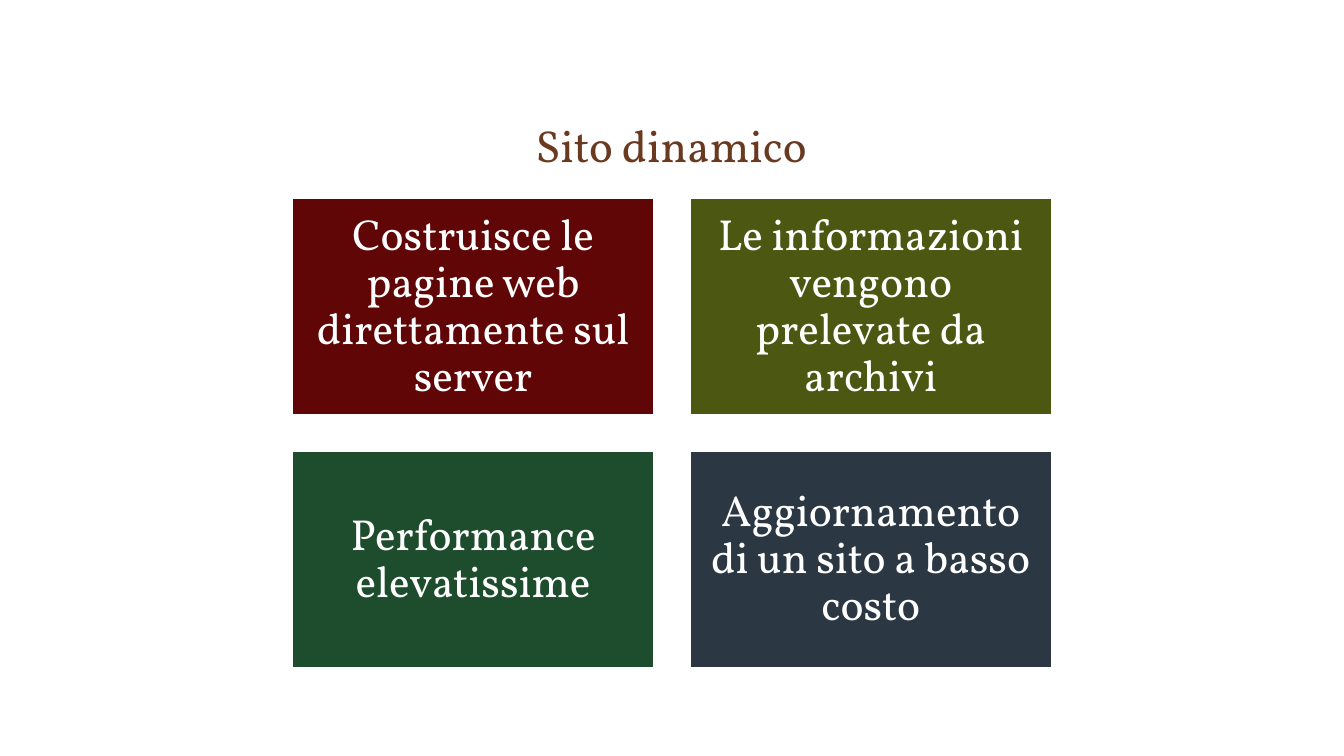
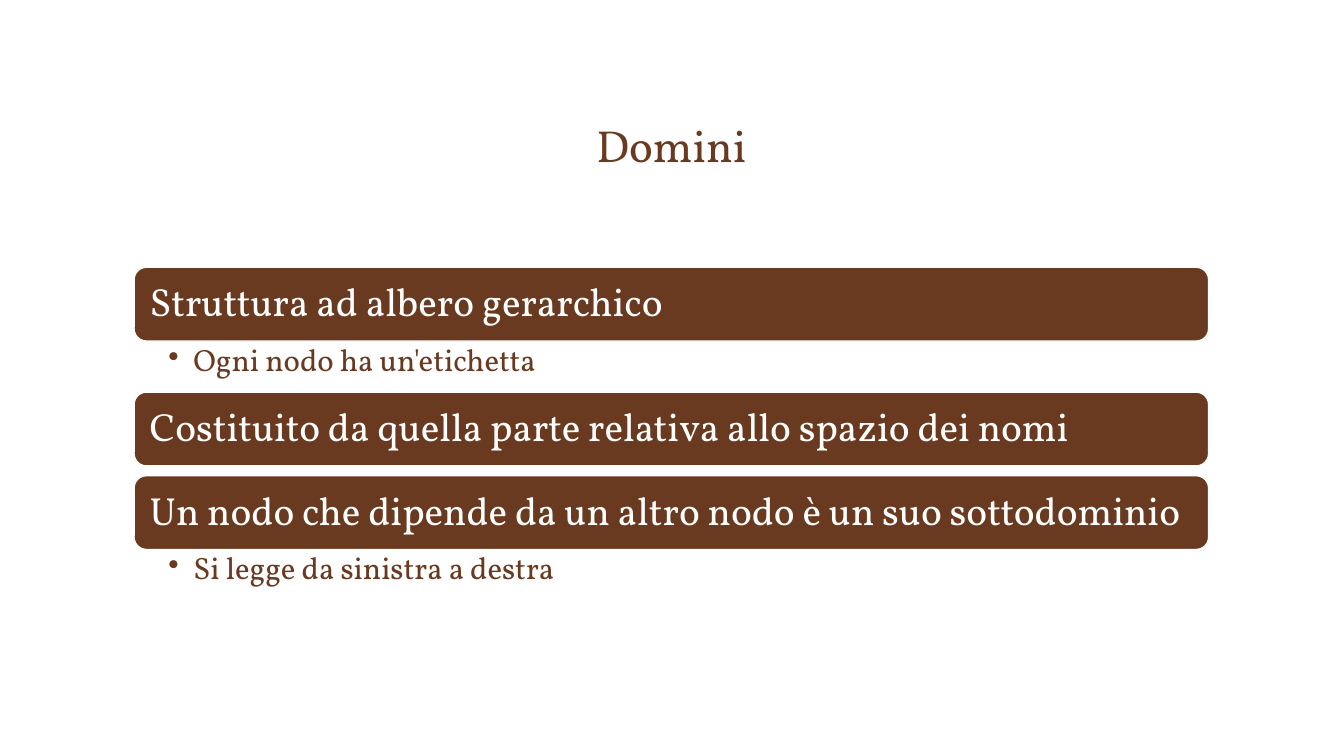
from dataclasses import dataclass

from lxml.etree import SubElement
from pptx import Presentation
from pptx.dml.color import RGBColor
from pptx.enum.shapes import MSO_SHAPE
from pptx.enum.text import MSO_ANCHOR, MSO_AUTO_SIZE, PP_ALIGN
from pptx.oxml.ns import qn
from pptx.util import Pt


@dataclass(frozen=True)
class Theme:
    """Colours, font and type sizes shared by the slides."""
    font: str = "Vollkorn"
    brown: str = "6A3A20"
    white: str = "FFFFFF"
    tile_fills: tuple = ("610606", "4C5712", "1E4D2D", "2B3742")
    title_size: float = 32
    tile_size: float = 31
    bar_size: float = 28
    bullet_size: float = 22
    line_spacing: float = 0.9


@dataclass(frozen=True)
class Box:
    """A rectangle in points."""
    left: float
    top: float
    width: float
    height: float

    def lengths(self):
        """Return the four lengths in the order that python-pptx expects."""
        return [Pt(value) for value in (self.left, self.top, self.width, self.height)]


THEME = Theme()
TITLE_BOX = Box(95.8, 33.8, 767.5, 92.2)
TILES_BOX = Box(208.8, 141.8, 542.2, 335.4)
BARS_BOX = Box(95.8, 190.9, 767.5, 238.1)


def add_text(paragraph, text, size, color, alignment=PP_ALIGN.LEFT):
    """Add one formatted run to a paragraph."""
    paragraph.alignment = alignment
    run = paragraph.add_run()
    run.text = text
    run.font.name = THEME.font
    run.font.size = Pt(size)
    run.font.color.rgb = RGBColor.from_string(color)


def set_frame(frame, anchor, left, top, right, bottom):
    """Wrap a text frame and set its anchor and margins."""
    frame.word_wrap = True
    frame.auto_size = MSO_AUTO_SIZE.NONE
    frame.vertical_anchor = anchor
    frame.margin_left, frame.margin_top = Pt(left), Pt(top)
    frame.margin_right, frame.margin_bottom = Pt(right), Pt(bottom)


def add_titled_slide(presentation, title):
    """Add a title-only slide and format its title."""
    slide = presentation.slides.add_slide(presentation.slide_layouts[5])
    shape = slide.shapes.title
    shape.left, shape.top, shape.width, shape.height = TITLE_BOX.lengths()
    set_frame(shape.text_frame, MSO_ANCHOR.BOTTOM, 7.2, 3.6, 7.2, 3.6)
    add_text(shape.text_frame.paragraphs[0], title, THEME.title_size,
             THEME.brown, PP_ALIGN.CENTER)
    return slide


def add_panel(slide, preset, box, fill, text, size, margin, alignment):
    """Add a filled shape with a white outline and white text."""
    shape = slide.shapes.add_shape(preset, *box.lengths())
    shape.shadow.inherit = False
    shape.fill.solid()
    shape.fill.fore_color.rgb = RGBColor.from_string(fill)
    shape.line.color.rgb = RGBColor.from_string(THEME.white)
    shape.line.width = Pt(1)
    set_frame(shape.text_frame, MSO_ANCHOR.MIDDLE, margin, margin, margin, margin)
    paragraph = shape.text_frame.paragraphs[0]
    paragraph.line_spacing = THEME.line_spacing
    add_text(paragraph, text, size, THEME.white, alignment)


def add_bullet(slide, box, text):
    """Add a bulleted line below a bar."""
    shape = slide.shapes.add_textbox(*box.lengths())
    set_frame(shape.text_frame, MSO_ANCHOR.TOP, 24.4, 2.8, 15.8, 2.8)
    paragraph = shape.text_frame.paragraphs[0]
    paragraph.level = 1
    paragraph.line_spacing = THEME.line_spacing
    properties = paragraph._p.get_or_add_pPr()
    properties.set("marL", str(Pt(18)))
    properties.set("indent", str(-Pt(18)))
    SubElement(properties, qn("a:buChar"), char="•")
    add_text(paragraph, text, THEME.bullet_size, THEME.brown)


def add_tiles(slide, box, texts, columns=2, gap=25.8):
    """Fill a box with an even grid of coloured tiles."""
    rows = -(-len(texts) // columns)
    width = (box.width - gap * (columns - 1)) / columns
    height = (box.height - gap * (rows - 1)) / rows
    for index, (text, fill) in enumerate(zip(texts, THEME.tile_fills)):
        row, column = divmod(index, columns)
        tile = Box(box.left + column * (width + gap),
                   box.top + row * (height + gap), width, height)
        add_panel(slide, MSO_SHAPE.RECTANGLE, tile, fill, text,
                  THEME.tile_size, 9.4, PP_ALIGN.CENTER)


def add_bars(slide, box, items, bullet_height=36.5, gap=7):
    """Stack bars down a box, each followed by its bullet or a gap."""
    spaces = [bullet_height if bullet else gap for _, bullet in items]
    bar_height = (box.height - sum(spaces)) / len(items)
    top = box.top
    for (text, bullet), space in zip(items, spaces):
        bar = Box(box.left, top, box.width, bar_height)
        add_panel(slide, MSO_SHAPE.ROUNDED_RECTANGLE, bar, THEME.brown, text,
                  THEME.bar_size, 8.6, PP_ALIGN.LEFT)
        top += bar_height
        if bullet:
            add_bullet(slide, Box(box.left, top, box.width, space), bullet)
        top += space


def build_dynamic_site(presentation):
    """Build the slide on dynamic sites."""
    slide = add_titled_slide(presentation, "Sito dinamico")
    add_tiles(slide, TILES_BOX, [
        "Costruisce le pagine web direttamente sul server",
        "Le informazioni vengono prelevate da archivi",
        "Performance elevatissime",
        "Aggiornamento di un sito a basso costo",
    ])


def build_domains(presentation):
    """Build the slide on domains."""
    slide = add_titled_slide(presentation, "Domini")
    add_bars(slide, BARS_BOX, [
        ("Struttura ad albero gerarchico", "Ogni nodo ha un'etichetta"),
        ("Costituito da quella parte relativa allo spazio dei nomi", None),
        ("Un nodo che dipende da un altro nodo è un suo sottodominio",
         "Si legge da sinistra a destra"),
    ])


def main():
    """Build and save the presentation."""
    presentation = Presentation()
    presentation.slide_width, presentation.slide_height = Pt(960), Pt(540)
    build_dynamic_site(presentation)
    build_domains(presentation)
    presentation.save("out.pptx")


if __name__ == "__main__":
    main()
